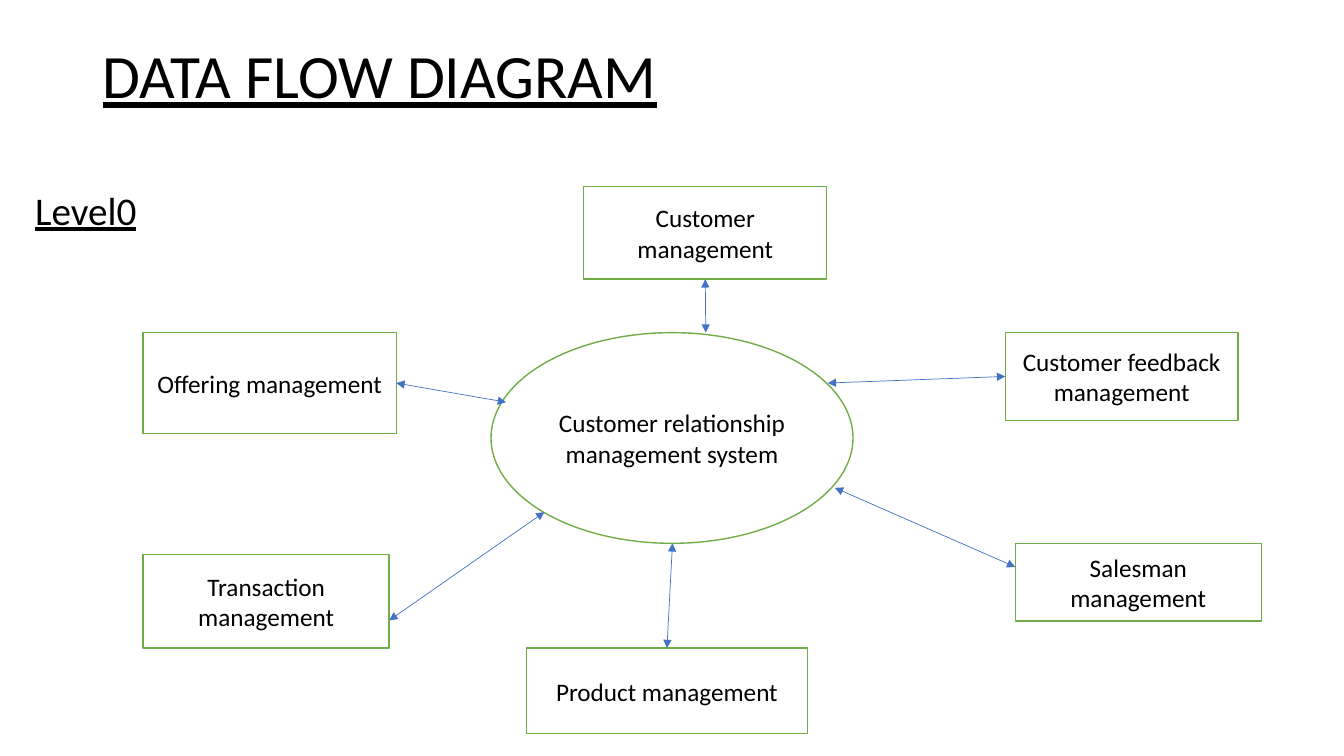
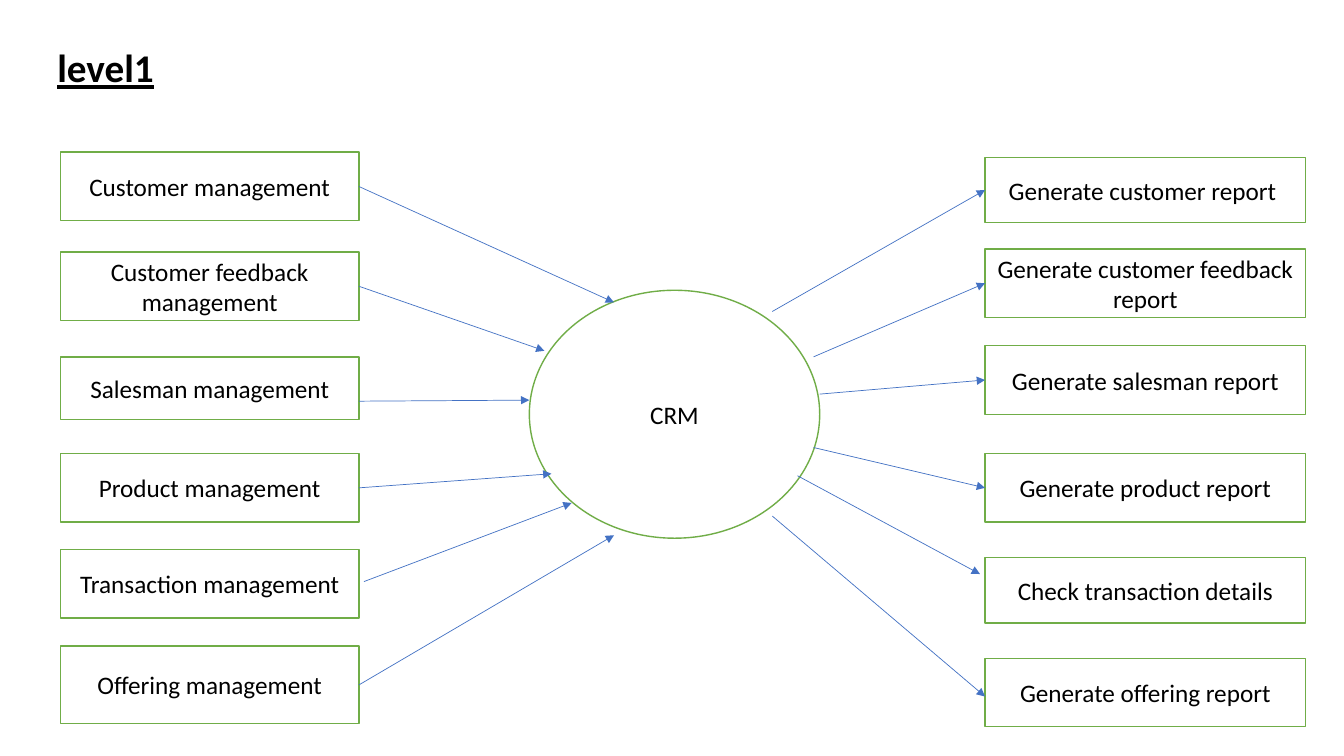
from pptx import Presentation
from pptx.dml.color import RGBColor
from pptx.enum.shapes import MSO_CONNECTOR, MSO_SHAPE
from pptx.enum.text import MSO_ANCHOR, PP_ALIGN
from pptx.oxml.ns import qn
from pptx.util import Inches, Pt
from lxml.etree import SubElement

BLACK = RGBColor(0x00, 0x00, 0x00)
WHITE = RGBColor(0xFF, 0xFF, 0xFF)
GREEN = RGBColor(0x70, 0xAD, 0x47)
BLUE = RGBColor(0x44, 0x72, 0xC4)
FONT = "Calibri"
NO_SHIFT = (0, 0)

# Middle of each box side, as fractions of its width and height
SIDES = {"left": (0, 0.5), "right": (1, 0.5), "top": (0.5, 0), "bottom": (0.5, 1)}

# Level 0: text, box, side the arrow meets, point on the system's rim,
# shift of the arrow's end from the middle of that side
SYSTEM = ("Customer relationship management system", (4.87, 3.3, 3.59, 2.09))
PARTNERS = [
    ("Customer management", (5.79, 1.85, 2.41, 0.92), "bottom", (7, 3.3), NO_SHIFT),
    ("Customer feedback management", (9.97, 3.3, 2.31, 0.87), "left", (8.21, 3.8), NO_SHIFT),
    ("Salesman management", (10.07, 5.39, 2.44, 0.77), "left", (8.28, 4.84), (0, -0.15)),
    ("Product management", (5.22, 6.43, 2.79, 0.85), "top", (6.67, 5.39), NO_SHIFT),
    ("Offering management", (1.42, 3.3, 2.51, 1), "right", (5.02, 3.99), NO_SHIFT),
    ("Transaction management", (1.42, 5.5, 2.44, 0.93), "right", (5.4, 5.08), (0, 0.19)),
]

# Level 1: text, top, height, point on the rim, shift of the arrow's end
CRM = ("CRM", (5.25, 2.88, 2.88, 2.46))
INPUTS = [
    ("Customer management", 1.51, 0.68, (6.09, 3), NO_SHIFT),
    ("Customer feedback management", 2.5, 0.68, (5.4, 3.48), NO_SHIFT),
    ("Salesman management", 3.54, 0.62, (5.25, 3.97), (0, 0.13)),
    ("Product management", 4.5, 0.68, (5.47, 4.7), NO_SHIFT),
    ("Transaction management", 5.45, 0.68, (5.67, 4.99), (0.05, -0.02)),
    ("Offering management", 6.41, 0.77, (6.09, 5.31), NO_SHIFT),
]
REPORTS = [
    ("Generate customer report ", 1.56, 0.65, (7.66, 3.09), NO_SHIFT),
    ("Generate customer feedback report", 2.47, 0.68, (8.07, 3.54), NO_SHIFT),
    ("Generate salesman report", 3.43, 0.68, (8.13, 3.91), NO_SHIFT),
    ("Generate product report", 4.5, 0.68, (8.07, 4.44), NO_SHIFT),
    ("Check transaction details", 5.53, 0.65, (7.91, 4.72), (-0.05, -0.16)),
    ("Generate offering report", 6.53, 0.68, (7.66, 5.12), (0, 0.04)),
]
# Columns: rows, left, width, side facing the CRM, whether arrows run to the rim
COLUMNS = [
    (INPUTS, 0.6, 2.96, "right", True),
    (REPORTS, 9.77, 3.18, "left", False),
]


def write(frame, text, size=18, bold=False, underline=False,
          align=PP_ALIGN.CENTER, anchor=MSO_ANCHOR.MIDDLE, spacing=None):
    """Put formatted text in a text frame."""
    frame.word_wrap = True
    frame.vertical_anchor = anchor
    paragraph = frame.paragraphs[0]
    paragraph.alignment = align
    paragraph.line_spacing = spacing
    run = paragraph.add_run()
    run.text = text
    font = run.font
    font.name, font.size, font.bold, font.underline = FONT, Pt(size), bold, underline
    font.color.rgb = BLACK


def add_heading(slide, text, place, size, anchor=MSO_ANCHOR.TOP, bold=False):
    """Add an underlined, left-aligned heading."""
    heading = slide.shapes.add_textbox(*map(Inches, place))
    write(heading.text_frame, text, size=size, bold=bold, underline=True,
          align=PP_ALIGN.LEFT, anchor=anchor, spacing=0.9)


def add_node(slide, text, place, outline=MSO_SHAPE.RECTANGLE):
    """Add a white node with a green outline and a centred label."""
    node = slide.shapes.add_shape(outline, *map(Inches, place))
    node.shadow.inherit = False
    node.fill.solid()
    node.fill.fore_color.rgb = WHITE
    node.line.color.rgb = GREEN
    node.line.width = Pt(1)
    write(node.text_frame, text)


def side_point(place, side, shift):
    """Return the shifted middle of one side of a box."""
    left, top, width, height = place
    across, down = SIDES[side]
    return left + across * width + shift[0], top + down * height + shift[1]


def add_arrow(slide, start, end, both=False):
    """Draw a thin blue arrow, with a head at one end or at both."""
    arrow = slide.shapes.add_connector(MSO_CONNECTOR.STRAIGHT, *map(Inches, start + end))
    arrow.line.color.rgb = BLUE
    arrow.line.width = Pt(0.5)
    properties = arrow.element.spPr
    line = properties.find(qn("a:ln"))
    for tag in ("a:headEnd", "a:tailEnd") if both else ("a:tailEnd",):
        SubElement(line, qn(tag), type="triangle")
    SubElement(properties, qn("a:effectLst"))


def add_level0(slide):
    """Build the context diagram around the whole system."""
    add_heading(slide, "DATA FLOW DIAGRAM", (0.92, 0.4, 8.22, 1.45), 44)
    add_heading(slide, "Level0", (0.25, 1.85, 11.5, 4.76), 28)
    add_node(slide, *SYSTEM, outline=MSO_SHAPE.OVAL)
    for text, place, side, rim, shift in PARTNERS:
        add_node(slide, text, place)
        add_arrow(slide, side_point(place, side, shift), rim, both=True)


def add_level1(slide):
    """Build the diagram of inputs, CRM and reports."""
    add_heading(slide, "level1", (0.47, 0.18, 11.95, 1.03), 28,
                anchor=MSO_ANCHOR.MIDDLE, bold=True)
    add_node(slide, *CRM, outline=MSO_SHAPE.OVAL)
    for rows, left, width, side, inward in COLUMNS:
        for text, top, height, rim, shift in rows:
            place = (left, top, width, height)
            add_node(slide, text, place)
            edge = side_point(place, side, shift)
            add_arrow(slide, *((edge, rim) if inward else (rim, edge)))


deck = Presentation()
deck.slide_width, deck.slide_height = Inches(13.33), Inches(7.5)
blank = deck.slide_layouts[6]
for build in (add_level0, add_level1):
    build(deck.slides.add_slide(blank))
deck.save("out.pptx")
